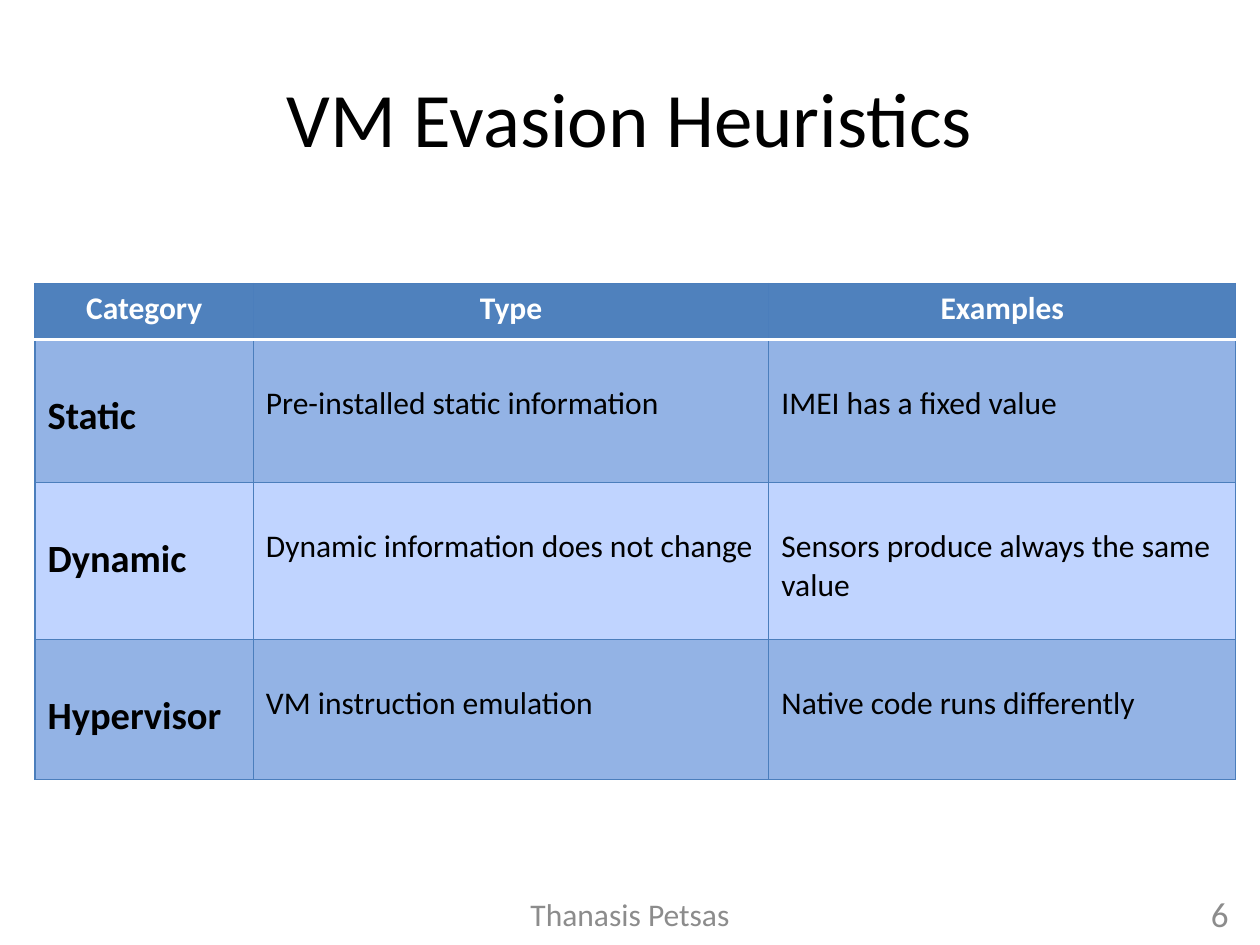
import pptx
import pptx.dml.color
import pptx.enum.text
import pptx.oxml
import pptx.oxml.ns
import pptx.util

Pt = pptx.util.Pt
RGBColor = pptx.dml.color.RGBColor
ALIGN = pptx.enum.text.PP_ALIGN
ANCHOR = pptx.enum.text.MSO_ANCHOR

FONT = "Calibri"
BLACK = RGBColor(0x00, 0x00, 0x00)
WHITE = RGBColor(0xFF, 0xFF, 0xFF)
GREY = RGBColor(0x8C, 0x8C, 0x8C)
HEADER_BLUE = RGBColor(0x4F, 0x81, 0xBD)
BAND_DARK = RGBColor(0x93, 0xB3, 0xE5)
BAND_LIGHT = RGBColor(0xC0, 0xD4, 0xFF)
BORDER_BLUE = RGBColor(0x4B, 0x7E, 0xBC)

COLUMN_WIDTHS = (124.8, 294.6, 266.8)
ROW_HEIGHTS = (32, 82, 89.5, 80)
HEADINGS = ("Category", "Type", "Examples")
HEURISTICS = (
    ("Static", "Pre-installed static information", "IMEI has a fixed value"),
    ("Dynamic", "Dynamic information does not change",
     "Sensors produce always the same value"),
    ("Hypervisor", "VM instruction emulation", "Native code runs differently"),
)


def write(frame, text, size, color, align, bold=False):
    para = frame.paragraphs[0]
    para.alignment = align
    span = para.add_run()
    span.text = text
    span.font.name = FONT
    span.font.size = Pt(size)
    span.font.bold = bold
    span.font.color.rgb = color


def add_label(page, bounds, text, size, color, align):
    box = page.shapes.add_textbox(*(Pt(length) for length in bounds))
    box.text_frame.word_wrap = True
    box.text_frame.vertical_anchor = ANCHOR.MIDDLE
    write(box.text_frame, text, size, color, align)


def set_borders(cell, **special):
    """Draw thin blue edges, except those given as edge=(colour, width)."""
    properties = cell._tc.get_or_add_tcPr()
    for position, edge in enumerate(("lnL", "lnR", "lnT", "lnB")):
        color, width = special.get(edge, (BORDER_BLUE, 0.75))
        properties.insert(position, pptx.oxml.parse_xml(
            f'<a:{edge} {pptx.oxml.ns.nsdecls("a")} w="{int(Pt(width))}">'
            f'<a:solidFill><a:srgbClr val="{color}"/></a:solidFill></a:{edge}>'))


def fill_cell(cell, color):
    cell.fill.solid()
    cell.fill.fore_color.rgb = color


def add_heading_cell(cell, text):
    fill_cell(cell, HEADER_BLUE)
    set_borders(cell, lnB=(WHITE, 2))
    write(cell.text_frame, text, 18, WHITE, ALIGN.CENTER, bold=True)


def add_body_cell(cell, text, row, is_category):
    fill_cell(cell, BAND_DARK if row % 2 else BAND_LIGHT)
    set_borders(cell, **({"lnT": (WHITE, 2)} if row == 1 else {}))
    size = 22 if is_category else 18
    cell.margin_top = Pt(3.6 + 1.22 * size)  # one line of space above the text
    write(cell.text_frame, text, size, BLACK, ALIGN.LEFT, bold=is_category)


def add_heuristics_table(page):
    frame = page.shapes.add_table(
        len(ROW_HEIGHTS), len(COLUMN_WIDTHS), Pt(20), Pt(162),
        Pt(sum(COLUMN_WIDTHS)), Pt(sum(ROW_HEIGHTS)))
    table = frame.table
    table.first_row = table.horz_banding = False
    for column, width in zip(table.columns, COLUMN_WIDTHS):
        column.width = Pt(width)
    for row, height in zip(table.rows, ROW_HEIGHTS):
        row.height = Pt(height)
    for column, text in enumerate(HEADINGS):
        add_heading_cell(table.cell(0, column), text)
    for row, texts in enumerate(HEURISTICS, start=1):
        for column, text in enumerate(texts):
            add_body_cell(table.cell(row, column), text, row, column == 0)


def main():
    deck = pptx.Presentation()
    deck.slide_width, deck.slide_height = Pt(720), Pt(540)
    page = deck.slides.add_slide(deck.slide_layouts[6])
    add_label(page, (36, 21.6, 648, 90), "VM Evasion Heuristics",
              44, BLACK, ALIGN.CENTER)
    add_label(page, (246, 507.6, 228, 28.8), "Thanasis Petsas",
              18, GREY, ALIGN.CENTER)
    add_label(page, (541.2, 507.6, 168, 28.8), "6", 20, GREY, ALIGN.RIGHT)
    add_heuristics_table(page)
    deck.save("out.pptx")


if __name__ == "__main__":
    main()
